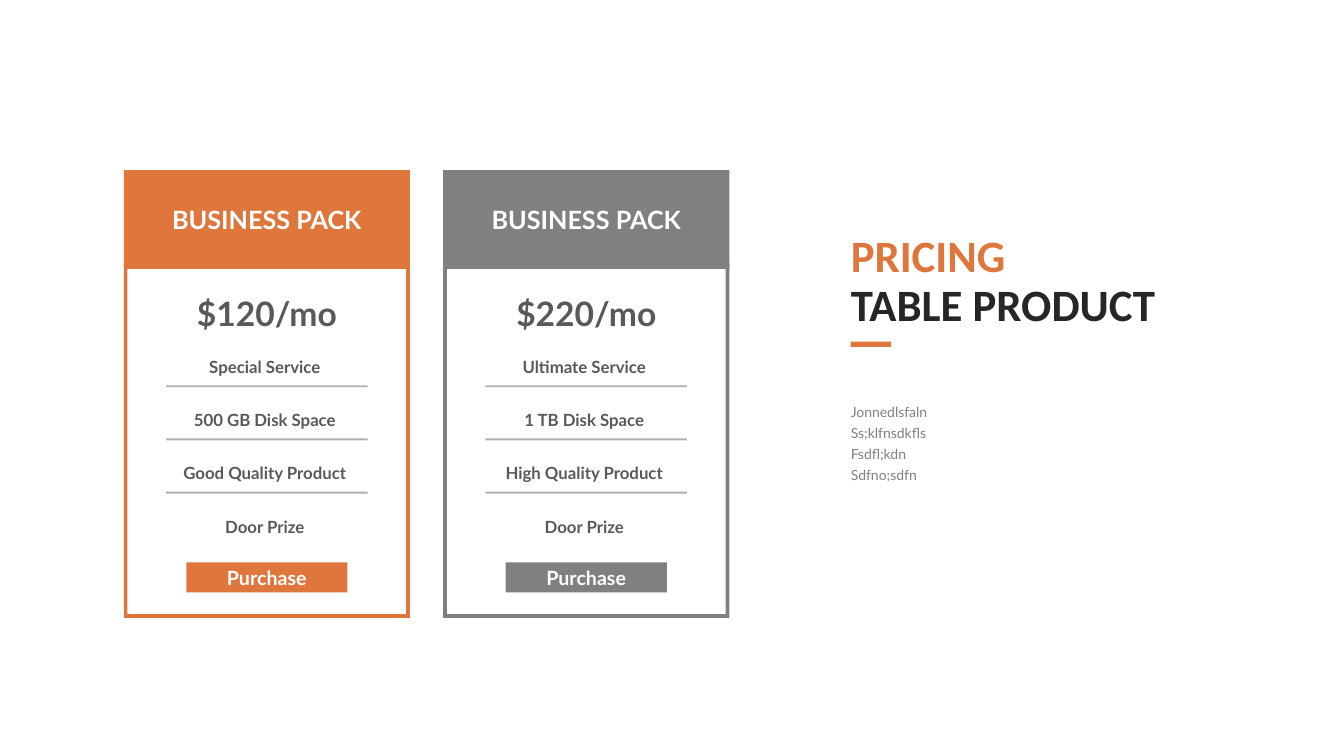
from pptx import Presentation
from pptx.dml.color import RGBColor
from pptx.enum import shapes, text
from pptx.oxml import parse_xml
from pptx.oxml.ns import nsdecls
from pptx.util import Cm, Pt

ORANGE = RGBColor(0xDF, 0x77, 0x3D)
GRAY = RGBColor(0x80, 0x80, 0x80)
RULE = RGBColor(0xB0, 0xB0, 0xB0)
DARK = RGBColor(0x59, 0x59, 0x59)
BLACK = RGBColor(0x26, 0x26, 0x26)
WHITE = RGBColor(0xFF, 0xFF, 0xFF)

PACKS = [
    ("$120/mo", ORANGE, ["Special Service", "500 GB Disk Space",
                         "Good Quality Product", "Door Prize"]),
    ("$220/mo", GRAY, ["Ultimate Service", "1 TB Disk Space",
                       "High Quality Product", "Door Prize"]),
]
LINES = ["Jonnedlsfaln", "Ss;klfnsdkfls", "Fsdfl;kdn", "Sdfno;sdfn"]


def add_block(slide, x, y, w, h, color, kind=shapes.MSO_SHAPE.RECTANGLE):
    """Add a plain filled shape; lengths are in cm."""
    block = slide.shapes.add_shape(kind, Cm(x), Cm(y), Cm(w), Cm(h))
    block.shadow.inherit = False
    block.fill.solid()
    block.fill.fore_color.rgb = color
    block.line.fill.background()
    return block


def set_frame(frame, anchor):
    """Wrap the text, drop the insets and fit the box to its text."""
    frame.margin_left = frame.margin_right = 0
    frame.margin_top = frame.margin_bottom = 0
    frame.word_wrap = True
    frame.auto_size = text.MSO_AUTO_SIZE.SHAPE_TO_FIT_TEXT
    frame.vertical_anchor = anchor


def set_font(para, name, size, color, bold):
    for run in para.runs:
        font = run.font
        font.name, font.size, font.bold = name, Pt(size), bold
        font.color.rgb = color


def add_label(slide, mid, y, w, h, words, size, color,
              anchor=text.MSO_ANCHOR.TOP):
    """Add one bold line of text, centred on mid."""
    box = slide.shapes.add_textbox(Cm(mid - w / 2), Cm(y), Cm(w), Cm(h))
    set_frame(box.text_frame, anchor)
    para = box.text_frame.paragraphs[0]
    para.text = words
    para.alignment = text.PP_ALIGN.CENTER
    set_font(para, "Lato", size, color, True)


def add_card(slide, x, y, w, h, price, color, items):
    mid = x + w / 2
    center = text.MSO_ANCHOR.MIDDLE

    # Frame and header
    body = add_block(slide, x, y + 2.36, w, h - 2.36, color,
                     shapes.MSO_SHAPE.FRAME)
    body.adjustments[0] = 0.013
    add_block(slide, x, y, w, 2.49, color)
    add_label(slide, mid, y + 0.86, 6.05, 0.76, "BUSINESS PACK", 18, WHITE,
              center)

    # Price
    add_label(slide, mid, y + 3.1, 4.11, 1.02, price, 24, DARK, center)

    # Features, with a rule under all but the last
    for i, item in enumerate(items):
        top = y + 4.7 + i * 1.34
        add_label(slide, mid - 0.05, top, 4.83, 0.51, item, 12, DARK)
        if i < len(items) - 1:
            add_block(slide, mid - 2.54, top + 0.72, 5.08, 0.05, RULE)

    # Button
    add_block(slide, mid - 2.03, y + 9.88, 4.06, 0.76, color)
    add_label(slide, mid, y + 9.96, 3.56, 0.61, "Purchase", 14, WHITE)


def place(holder, x, y, w, h):
    holder.left, holder.top = Cm(x), Cm(y)
    holder.width, holder.height = Cm(w), Cm(h)


def add_intro(slide, x, y, w):
    # Title
    title = slide.shapes.title
    place(title, x, y, w, 2.49)
    frame = title.text_frame
    frame.text = "PRICING\nTABLE PRODUCT"
    set_frame(frame, text.MSO_ANCHOR.MIDDLE)
    for para, color in zip(frame.paragraphs, (ORANGE, BLACK)):
        para.alignment = text.PP_ALIGN.LEFT
        para.line_spacing = Pt(35)
        set_font(para, "Calibri", 32, color, True)

    # Accent bar
    add_block(slide, x, y + 2.77, 1.02, 0.13, ORANGE)

    # List without bullets
    body = slide.placeholders[1]
    place(body, x, y + 4.22, w, 2.62)
    frame = body.text_frame
    frame.text = "\n".join(LINES)
    set_frame(frame, text.MSO_ANCHOR.TOP)
    for para in frame.paragraphs:
        props = para._p.get_or_add_pPr()
        props.set("marL", "0")
        props.set("indent", "0")
        props.append(parse_xml(f"<a:buNone {nsdecls('a')}/>"))
        para.space_before = Pt(0)
        para.line_spacing = Pt(15)
        set_font(para, "Lato", 10, GRAY, False)


def main():
    deck = Presentation()
    deck.slide_width, deck.slide_height = Cm(33.87), Cm(19.05)
    slide = deck.slides.add_slide(deck.slide_layouts[1])
    for i, pack in enumerate(PACKS):
        add_card(slide, 3.12 + i * 8.05, 4.29, 7.21, 11.28, *pack)
    add_intro(slide, 21.44, 5.84, 9.35)
    deck.save("out.pptx")


if __name__ == "__main__":
    main()
